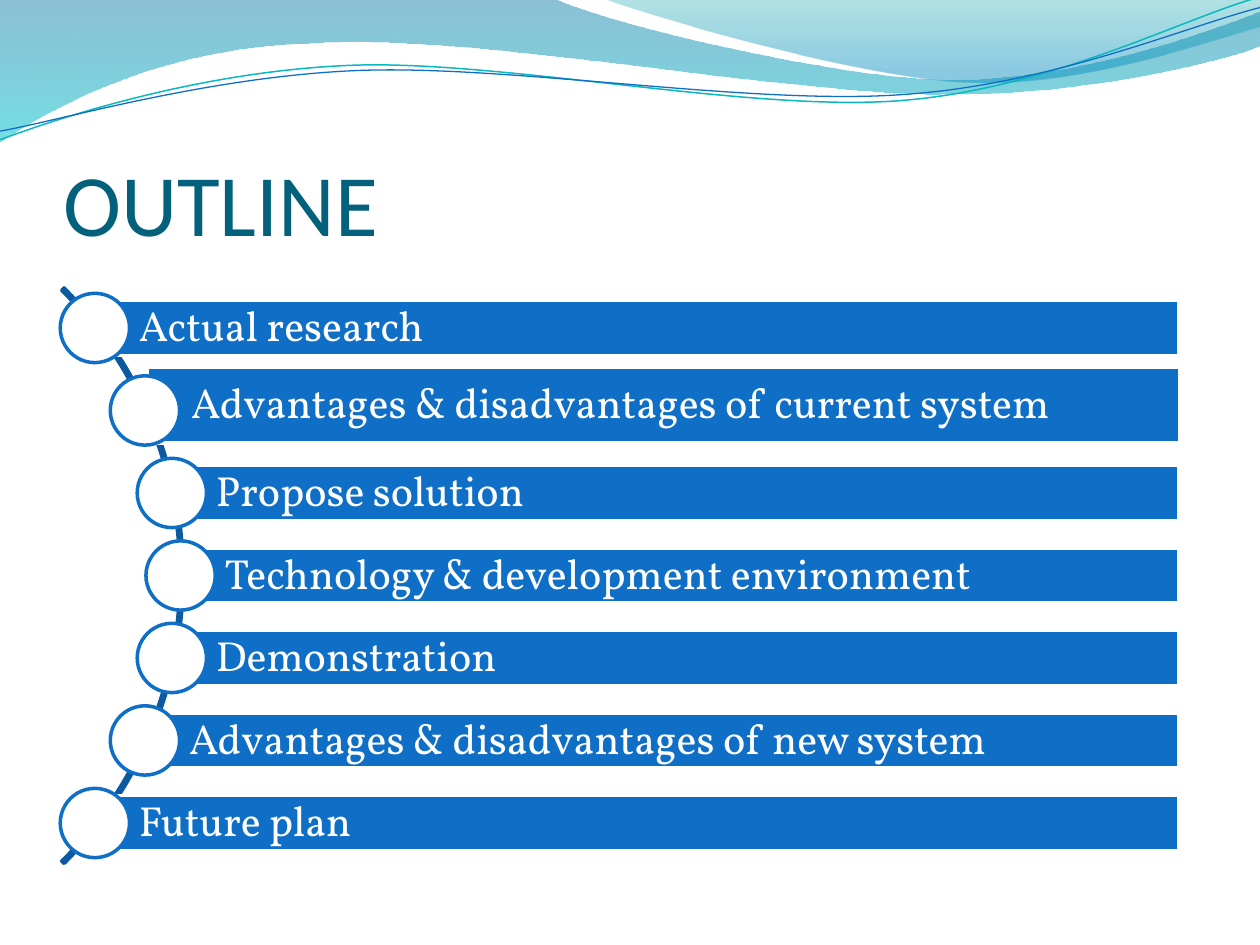
import pptx
import pptx.dml.color
import pptx.enum.shapes
import pptx.enum.text
import pptx.oxml
import pptx.oxml.ns
import pptx.util

Pt = pptx.util.Pt
RGBColor = pptx.dml.color.RGBColor
SHAPE = pptx.enum.shapes.MSO_SHAPE
ANCHOR = pptx.enum.text.MSO_ANCHOR
ALIGN = pptx.enum.text.PP_ALIGN

WHITE = RGBColor(0xFF, 0xFF, 0xFF)
BLUE = RGBColor(0x0F, 0x6F, 0xC6)
DARK_BLUE = RGBColor(0x0C, 0x59, 0x9F)
TITLE_TEAL = RGBColor(0x04, 0x61, 0x7B)
LINE_TEAL = RGBColor(0x0A, 0xB8, 0xBF)
WAVE_BLUE = RGBColor(0x00, 0x74, 0xA1)
WAVE_CYAN = RGBColor(0x00, 0xC6, 0xCF)
CREST_TEAL = RGBColor(0x00, 0xA1, 0xA9)
CREST_BLUE = RGBColor(0x00, 0x8B, 0xBF)

# Outlines in points: a pair is a corner, six numbers are a cubic curve.
WAVE = [
    (0, 0), (316.8, -0.7),
    (342.7, 12.2, 478.1, 45.4, 545.8, 45.4),
    (614.2, 45.4, 689.8, 18.7, 720, 6.5),
    (720.7, 25.9),
    (709.2, 31.7, 626.4, 54.7, 537.1, 54),
    (447.8, 54, 275, 20.2, 185, 24.5),
    (92.9, 25.9, 33.1, 59.8, -0.7, 81.4),
]
CREST = [
    (344.9, -0.7),
    (366.5, 7.9, 491, 44.6, 553.7, 46.8),
    (616.3, 49.7, 691.9, 23, 720, 15.1),
    (720, 0),
]
TEAL_LINE = [
    (0, 79.9),
    (34.6, 67, 113.8, 41, 199.4, 37.4),
    (284.4, 33.8, 427, 64.1, 513.4, 57.6),
    (599.8, 51.1, 675.4, 10.8, 718.6, -1.4),
]
BLUE_LINE = [
    (0, 74.9),
    (33.8, 69.1, 118.1, 43.9, 203.8, 40.3),
    (290.2, 36.7, 429.8, 60.5, 516.2, 54),
    (601.9, 48.2, 677.5, 15.1, 720, 4.3),
]

TOPICS = [
    "Actual research",
    "Advantages & disadvantages of current system",
    "Propose solution",
    "Technology & development environment",
    "Demonstration",
    "Advantages & disadvantages of new system",
    "Future plan",
]
NODE_CENTERS = [54.2, 82.8, 98.2, 103.2, 98.2, 82.8, 54.2]
FIRST_CENTER, ROW_PITCH = 187.4, 47.15
BAR_RIGHT, BAR_HEIGHT, NODE_SIZE = 673.5, 31.5, 39.6
SHIFTED_BARS = {1: (84, 210, 590.4, 43.2)}


def set_attributes(target, values):
    for name, value in values.items():
        setattr(target, name, value)


def bend_curves(shape, outline):
    """Join the three segments of each six-number step into a cubic curve."""
    segments = iter(list(shape._element.iter(pptx.oxml.ns.qn("a:lnTo"))))
    for step in outline[1:]:
        parts = [next(segments) for _ in range(len(step) // 2)]
        if len(parts) == 1:
            continue
        curve = pptx.oxml.parse_xml(f'<a:cubicBezTo {pptx.oxml.ns.nsdecls("a")}/>')
        parts[0].addprevious(curve)
        for part in parts:
            curve.append(part[0])
            part.getparent().remove(part)


def add_freeform(slide, outline, close):
    points = [(Pt(step[index]), Pt(step[index + 1]))
              for step in outline for index in range(0, len(step), 2)]
    builder = slide.shapes.build_freeform(*points[0])
    builder.add_line_segments(points[1:], close=close)
    shape = builder.convert_to_shape()
    shape.shadow.inherit = False
    bend_curves(shape, outline)
    return shape


def add_wave(slide, outline, stops):
    """Stops are (position, colour, opacity in percent), from top to bottom."""
    shape = add_freeform(slide, outline, True)
    shape.line.fill.background()
    shape.fill.gradient()
    shape.fill.gradient_angle = 270
    for stop, (position, color, _) in zip(shape.fill.gradient_stops, stops):
        stop.position = position
        stop.color.rgb = color
    colors = shape._element.spPr.iter(pptx.oxml.ns.qn("a:srgbClr"))
    for element, (_, _, opacity) in zip(colors, stops):
        alpha = pptx.oxml.parse_xml(
            f'<a:alpha {pptx.oxml.ns.nsdecls("a")} val="{opacity * 1000}"/>')
        element.append(alpha)


def add_curve(slide, outline, color, width):
    shape = add_freeform(slide, outline, False)
    shape.fill.background()
    set_line(shape, color, width)


def set_line(shape, color, width):
    shape.line.color.rgb = color
    shape.line.width = Pt(width)


def add_preset(slide, kind, box, fill, line):
    shape = slide.shapes.add_shape(kind, *map(Pt, box))
    shape.shadow.inherit = False
    if fill is None:
        shape.fill.background()
    else:
        shape.fill.solid()
        shape.fill.fore_color.rgb = fill
    set_line(shape, line, 2)
    return shape


def write_text(shape, text, font, size, color, anchor, insets, line_spacing=1.0):
    frame = shape.text_frame
    sides = ("margin_left", "margin_top", "margin_right", "margin_bottom")
    set_attributes(frame, {"word_wrap": True, "vertical_anchor": anchor,
                           **dict(zip(sides, map(Pt, insets)))})
    paragraph = frame.paragraphs[0]
    set_attributes(paragraph, {"alignment": ALIGN.LEFT, "line_spacing": line_spacing})
    run = paragraph.add_run()
    run.text = text
    set_attributes(run.font, {"name": font, "size": Pt(size)})
    run.font.color.rgb = color


def add_title(slide, text):
    box = slide.shapes.add_textbox(Pt(36.2), Pt(55.4), Pt(648), Pt(90))
    write_text(box, text, "Calibri", 50, TITLE_TEAL, ANCHOR.BOTTOM, (0, 3.6, 0, 0))


def add_arc(slide):
    arc = add_preset(slide, SHAPE.BLOCK_ARC, (-360.4, 96.5, 465.1, 465.1), None, DARK_BLUE)
    for index, value in enumerate((189, 27, 0.004)):
        arc.adjustments[index] = value


def add_topic(slide, row, text):
    center_x, center_y = NODE_CENTERS[row], FIRST_CENTER + row * ROW_PITCH
    regular_bar = (center_x, center_y - BAR_HEIGHT / 2, BAR_RIGHT - center_x, BAR_HEIGHT)
    bar = add_preset(slide, SHAPE.RECTANGLE, SHIFTED_BARS.get(row, regular_bar), BLUE, WHITE)
    write_text(bar, text, "Vollkorn", 24, WHITE, ANCHOR.MIDDLE, (25.2, 5, 5, 5), 0.9)
    node_box = (center_x - NODE_SIZE / 2, center_y - NODE_SIZE / 2, NODE_SIZE, NODE_SIZE)
    add_preset(slide, SHAPE.OVAL, node_box, WHITE, BLUE)


def main():
    presentation = pptx.Presentation()
    set_attributes(presentation, {"slide_width": Pt(720), "slide_height": Pt(540)})
    slide = presentation.slides.add_slide(presentation.slide_layouts[6])
    add_wave(slide, WAVE, [(0, WAVE_BLUE, 45), (1, WAVE_CYAN, 55)])
    add_wave(slide, CREST, [(0, CREST_TEAL, 30), (0.8, CREST_BLUE, 45)])
    add_curve(slide, TEAL_LINE, LINE_TEAL, 0.85)
    add_curve(slide, BLUE_LINE, BLUE, 0.75)
    add_title(slide, "OUTLINE")
    add_arc(slide)
    for row, text in enumerate(TOPICS):
        add_topic(slide, row, text)
    presentation.save("out.pptx")


if __name__ == "__main__":
    main()
